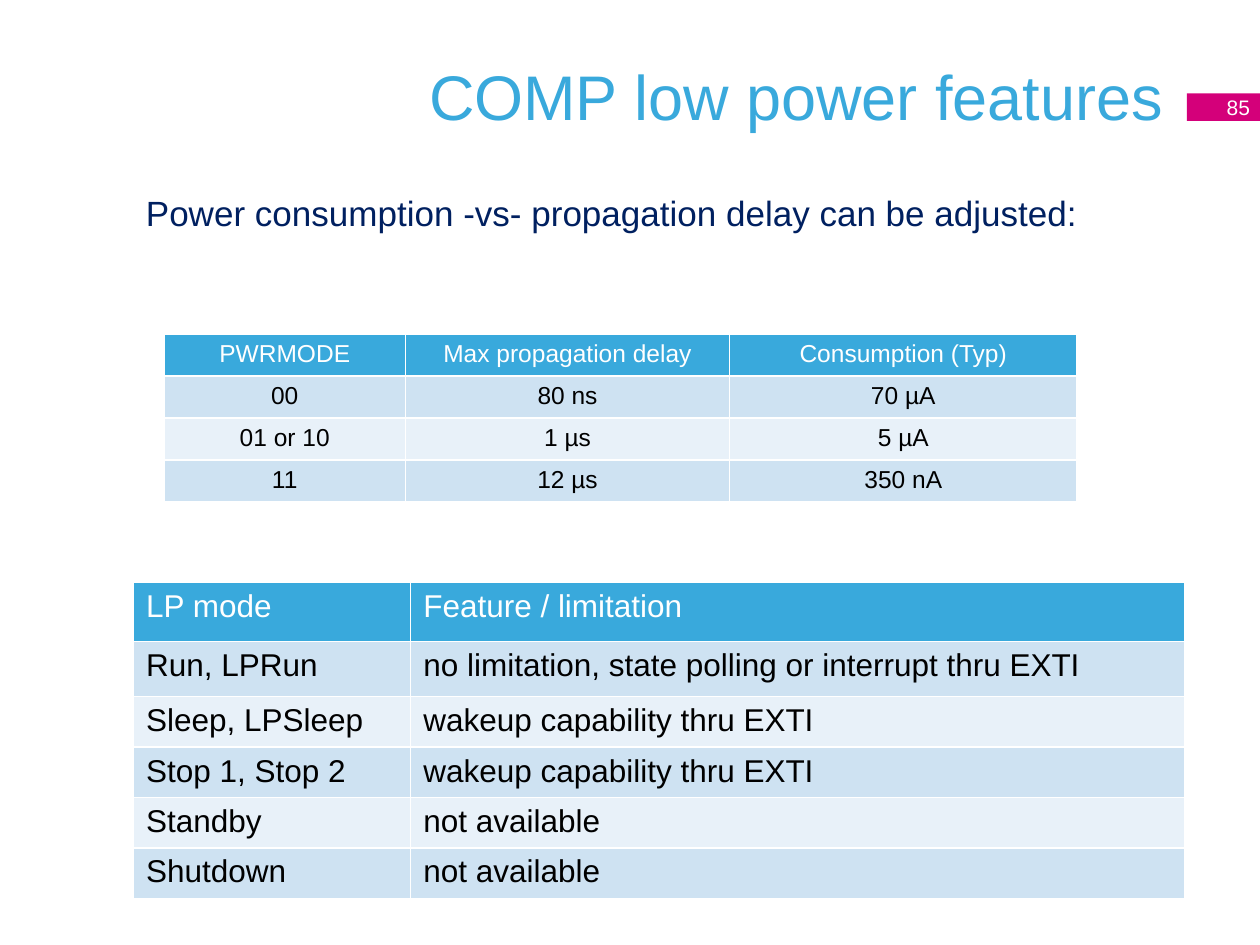
from lxml import etree
from pptx import Presentation
from pptx import util as u
from pptx.dml.color import RGBColor
from pptx.enum import shapes, text
from pptx.oxml import ns

WHITE = RGBColor(0xFF, 0xFF, 0xFF)
BLACK = RGBColor(0x00, 0x00, 0x00)
BLUE = RGBColor(0x39, 0xA9, 0xDC)
NAVY = RGBColor(0x00, 0x20, 0x60)
PINK = RGBColor(0xD4, 0x00, 0x7A)
BANDS = (RGBColor(0xCE, 0xE2, 0xF2), RGBColor(0xE8, 0xF1, 0xF9))
LEFT, MID, RIGHT = text.PP_ALIGN.LEFT, text.PP_ALIGN.CENTER, text.PP_ALIGN.RIGHT
TOP, CENTER = text.MSO_ANCHOR.TOP, text.MSO_ANCHOR.MIDDLE

POWER = [
    ("PWRMODE", "Max propagation delay", "Consumption (Typ)"),
    ("00", "80 ns", "70 µA"),
    ("01 or 10", "1 µs", "5 µA"),
    ("11", "12 µs", "350 nA"),
]
MODES = [
    ("LP mode", "Feature / limitation"),
    ("Run, LPRun", "no limitation, state polling or interrupt thru EXTI"),
    ("Sleep, LPSleep", "wakeup capability thru EXTI"),
    ("Stop 1, Stop 2", "wakeup capability thru EXTI"),
    ("Standby", "not available"),
    ("Shutdown", "not available"),
]


class Deck:
    font = "Arial"
    cols, rows = 100, 75

    def __init__(self):
        self.prs = Presentation()
        self.prs.slide_width, self.prs.slide_height = u.Inches(10), u.Inches(7.5)
        self.slide = self.prs.slides.add_slide(self.prs.slide_layouts[6])

    def across(self, n):
        return round(self.prs.slide_width * n / self.cols)

    def down(self, n):
        return round(self.prs.slide_height * n / self.rows)

    def area(self, x, y, w, h):
        return self.across(x), self.down(y), self.across(w), self.down(h)

    def letter(self, frame, words, size, color, align):
        frame.text = words
        frame.word_wrap = True
        para = frame.paragraphs[0]
        para.alignment = align
        for run in para.runs:
            run.font.name, run.font.size = self.font, u.Pt(size)
            run.font.bold = False
            run.font.color.rgb = color

    def label(self, area, words, size, color, align=LEFT, anchor=TOP):
        box = self.slide.shapes.add_textbox(*self.area(*area))
        self.letter(box.text_frame, words, size, color, align)
        box.text_frame.vertical_anchor = anchor

    def badge(self, area, words, size, fill):
        box = self.slide.shapes.add_shape(shapes.MSO_SHAPE.RECTANGLE, *self.area(*area))
        box.shadow.inherit = False
        box.fill.solid()
        box.fill.fore_color.rgb = fill
        box.line.fill.background()
        self.letter(box.text_frame, words, size, WHITE, RIGHT)
        box.text_frame.vertical_anchor = CENTER

    def border(self, cell):
        props = cell._tc.get_or_add_tcPr()
        for side in ("lnL", "lnR", "lnT", "lnB"):
            line = etree.SubElement(props, ns.qn("a:" + side), w=str(u.Pt(1)))
            fill = etree.SubElement(line, ns.qn("a:solidFill"))
            etree.SubElement(fill, ns.qn("a:srgbClr"), val=str(WHITE))

    def table(self, x, y, wide, high, data, size, align):
        area = self.area(x, y, sum(wide), sum(high))
        grid = self.slide.shapes.add_table(len(high), len(wide), *area).table
        for col, w in zip(grid.columns, wide):
            col.width = self.across(w)
        for row, h in zip(grid.rows, high):
            row.height = self.down(h)
        for r, line in enumerate(data):
            for c, words in enumerate(line):
                cell = grid.cell(r, c)
                self.border(cell)
                cell.fill.solid()
                cell.fill.fore_color.rgb = BANDS[(r - 1) % 2] if r else BLUE
                self.letter(cell.text_frame, words, size, BLACK if r else WHITE, align)


def main():
    deck = Deck()
    deck.label((5, 1.3, 88.3, 12.5), "COMP low power features", 36, BLUE, RIGHT, CENTER)
    deck.label((10.6, 14.7, 85.3, 9),
               "Power consumption -vs- propagation delay can be adjusted:", 20, NAVY)
    deck.badge((94.2, 7.4, 6, 2.2), "85", 12, PINK)
    deck.table(10.6, 46.2, (22, 61.4), (4.7, 4.4) + (3.8,) * 4, MODES, 18, LEFT)
    deck.table(13, 26.5, (19.2, 25.7, 27.6), (3.1,) * 4, POWER, 14, MID)
    deck.prs.save("out.pptx")


if __name__ == "__main__":
    main()
